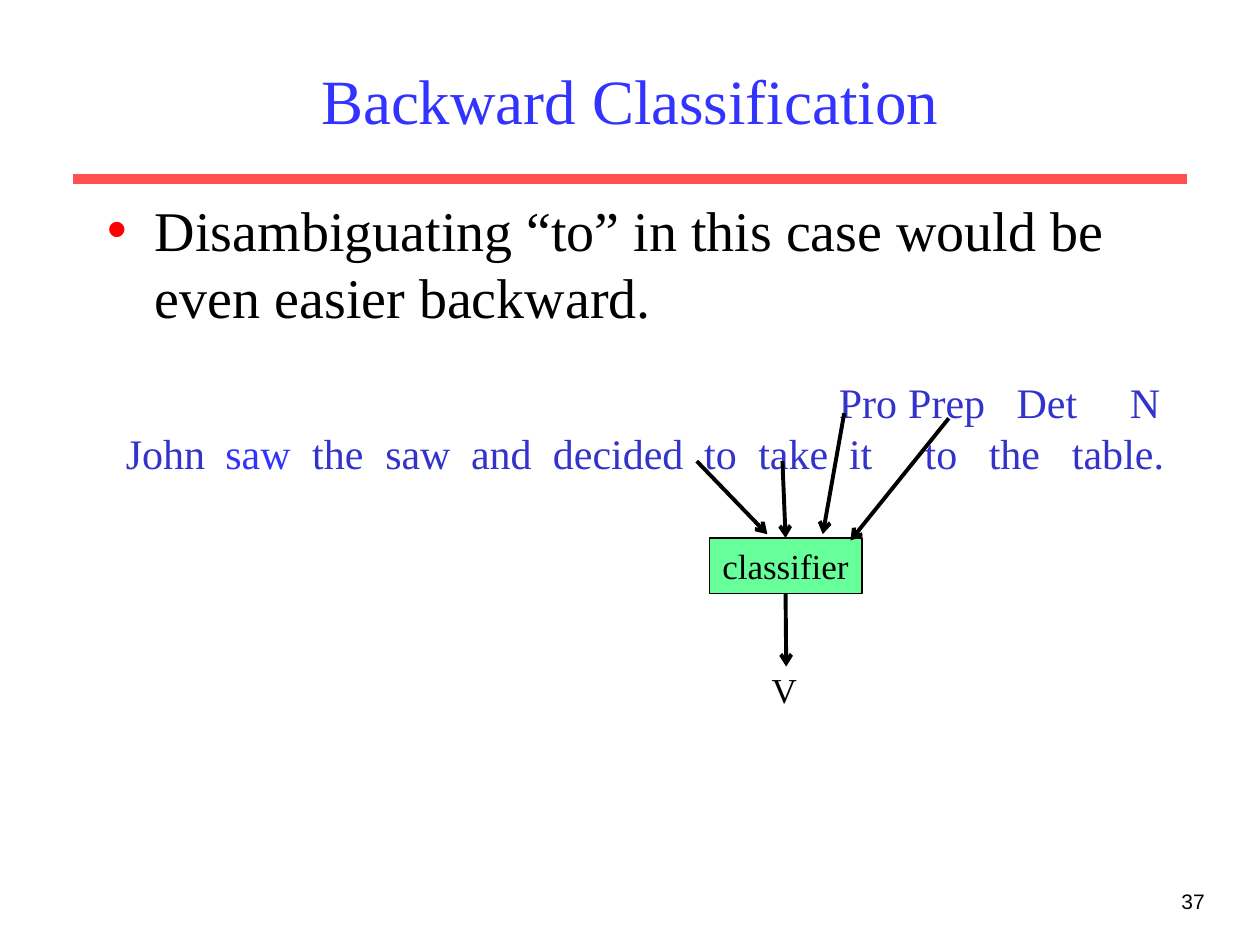
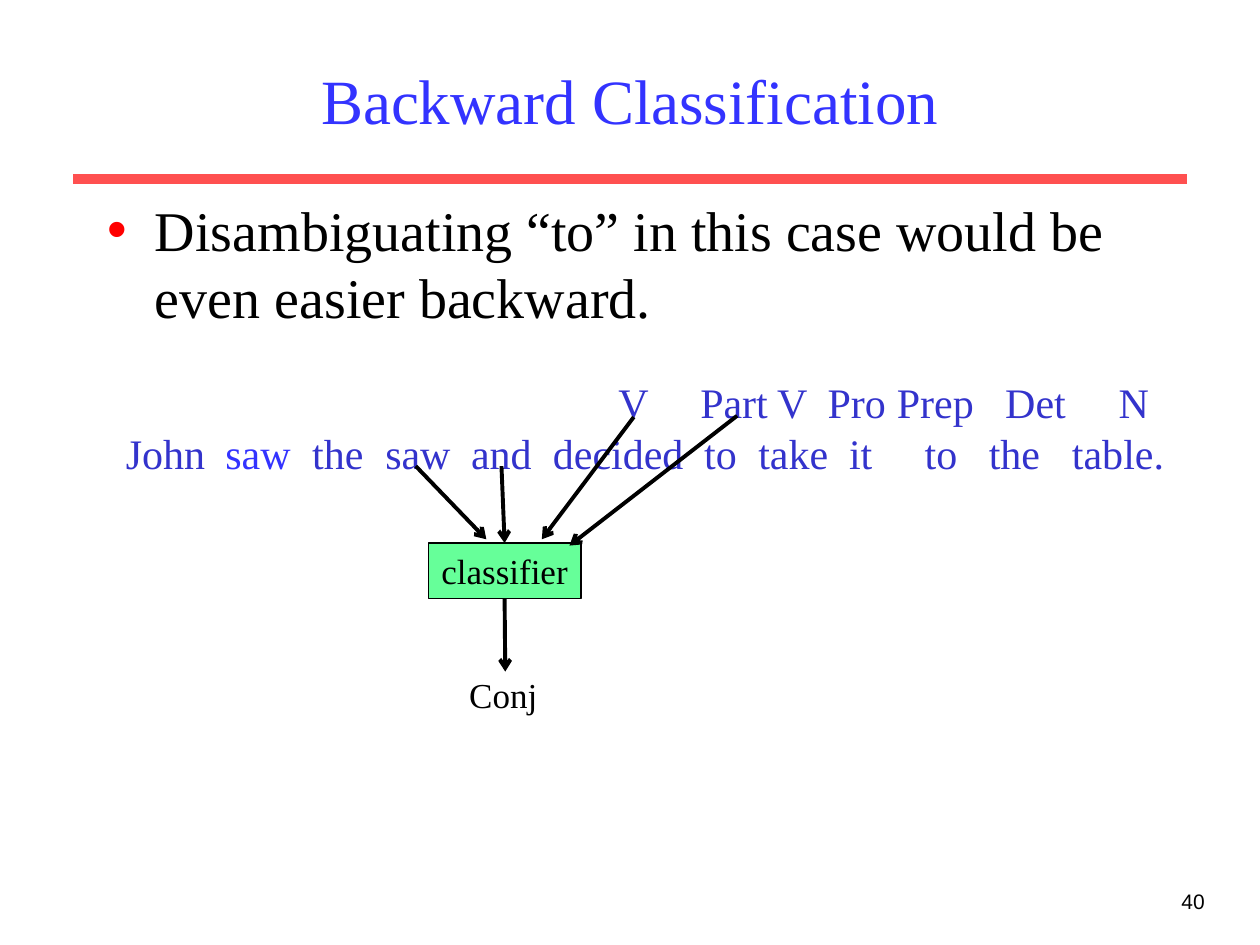
import lxml.etree
import pptx
import pptx.dml.color
import pptx.enum.shapes
import pptx.enum.text
import pptx.oxml.ns
import pptx.util

Inches = pptx.util.Inches
Pt = pptx.util.Pt
ALIGN = pptx.enum.text.PP_ALIGN
ANCHOR = pptx.enum.text.MSO_ANCHOR

TITLE = "Backward Classification"
POINT = "Disambiguating “to” in this case would be even easier backward."

# Words and tags with their distance in inches from the left of the text
SENTENCE = [
    ("John", 0), ("saw", 0.79), ("the", 1.48), ("saw", 2.06), ("and", 2.74),
    ("decided", 3.39), ("to", 4.59), ("take", 5.02), ("it", 5.74),
    ("to", 6.34), ("the", 6.85), ("table.", 7.51),
]
HIGHLIGHTED_WORD = 1

SLIDES = [
    {
        "number": "37",
        "tags": [("Pro", 5.66), ("Prep", 6.21), ("Det", 7.07), ("N", 7.97)],
        "classifier": (5.63, 4.27),
        "tag_points": [(6.7, 3.28), (7.53, 3.32)],
        "result": "V",
    },
    {
        "number": "40",
        "tags": [("V", 3.91), ("Part", 4.56), ("V", 5.17), ("Pro", 5.57),
                 ("Prep", 6.12), ("Det", 6.98), ("N", 7.88)],
        "classifier": (3.4, 4.31),
        "tag_points": [(5.03, 3.31), (5.85, 3.3)],
        "result": "Conj",
    },
]

# Places measured from the top left corner of the classifier box
CLASSIFIER_SIZE = (1.21, 0.44)
PREVIOUS_WORD_ARROW = ((-0.1, -0.61), (0.46, -0.03))
CURRENT_WORD_START = (0.58, -0.61)
TAG_ARROW_ENDS = [(0.9, -0.03), (1.12, 0.02)]
RESULT_ARROW_END = (0.61, 1.02)
RESULT_PLACE = (0.21, 0.99)

SERIF = "Times New Roman"
BLACK = "000000"
TITLE_STYLE = {"size": Pt(36), "name": SERIF, "color": "3333FF"}
POINT_STYLE = {"size": Pt(32), "name": SERIF, "color": BLACK}
SENTENCE_STYLE = {"size": Pt(24), "name": SERIF, "color": "3333CC"}
HIGHLIGHT_STYLE = {**SENTENCE_STYLE, "color": "3333FF"}
LABEL_STYLE = {"size": Pt(20), "name": SERIF, "color": BLACK}
NUMBER_STYLE = {"size": Pt(12), "name": "Arial", "color": BLACK}


def rgb(value):
    return pptx.dml.color.RGBColor.from_string(value)


def inches(values):
    return [Inches(value) for value in values]


def shift(origin, offset):
    return origin[0] + offset[0], origin[1] + offset[1]


def add_element(parent, tag, **attributes):
    element = lxml.etree.SubElement(parent, pptx.oxml.ns.qn(tag))
    for name, value in attributes.items():
        element.set(name, str(value))
    return element


def add_run(paragraph, text, style):
    run = paragraph.add_run()
    run.text = text
    for name, value in style.items():
        if name == "color":
            run.font.color.rgb = rgb(value)
        else:
            setattr(run.font, name, value)


def set_leading(paragraph, style):
    """Set lines of serif text at 1.2 times their size."""
    paragraph.space_before = Pt(0)
    paragraph.line_spacing = Pt(1.2 * style["size"].pt)


def fill_text(shape, text, style, alignment, anchor=ANCHOR.TOP):
    frame = shape.text_frame
    for name, value in {"word_wrap": True, "vertical_anchor": anchor,
                        "auto_size": pptx.enum.text.MSO_AUTO_SIZE.NONE}.items():
        setattr(frame, name, value)
    paragraph = frame.paragraphs[0]
    paragraph.alignment = alignment
    add_run(paragraph, text, style)
    if style["name"] == SERIF:
        set_leading(paragraph, style)
    return paragraph


def place(shape, left, top, width, height):
    box = {"left": left, "top": top, "width": width, "height": height}
    for name, value in box.items():
        setattr(shape, name, Inches(value))


def add_line(slide, start, end, color=BLACK, width=2.25, arrow=True):
    line = slide.shapes.add_connector(
        pptx.enum.shapes.MSO_CONNECTOR.STRAIGHT, *inches(start + end))
    line.line.color.rgb = rgb(color)
    line.line.width = Pt(width)
    if arrow:
        add_element(line.line._get_or_add_ln(), "a:tailEnd", type="arrow")
    add_element(line._element.spPr, "a:effectLst")
    return line


def add_textbox(slide, left, top, width, height):
    return slide.shapes.add_textbox(*inches((left, top, width, height)))


def add_frame(slide, number):
    """Add the title, rule, slide number and bullet that every slide has."""
    add_line(slide, (0.58, 1.42), (9.42, 1.42), "FF5050", 6, arrow=False)
    fill_text(add_textbox(slide, 7.58, 7, 2.08, 0.5),
              number, NUMBER_STYLE, ALIGN.RIGHT)

    title, body = slide.shapes.title, slide.placeholders[1]
    place(title, 0.75, 0.25, 8.5, 1.08)
    fill_text(title, TITLE, TITLE_STYLE, ALIGN.CENTER, ANCHOR.MIDDLE)
    place(body, 0.75, 1.5, 8.5, 5.13)
    paragraph = fill_text(body, POINT, POINT_STYLE, ALIGN.LEFT)
    properties = paragraph._p.get_or_add_pPr()
    properties.set("marL", str(Inches(0.38)))
    properties.set("indent", str(-Inches(0.38)))
    add_element(add_element(properties, "a:buClr"), "a:srgbClr", val="FF0000")
    add_element(properties, "a:buChar", char="•")


def fill_tabbed(paragraph, words, highlighted=None):
    """Write each word at its own tab stop."""
    tabs = add_element(paragraph._p.get_or_add_pPr(), "a:tabLst")
    for index, (word, position) in enumerate(words):
        if position:
            add_element(tabs, "a:tab", pos=Inches(position), algn="l")
        style = HIGHLIGHT_STYLE if index == highlighted else SENTENCE_STYLE
        add_run(paragraph, "\t" + word if position else word, style)
    set_leading(paragraph, SENTENCE_STYLE)


def add_sentence(slide, tags):
    frame = add_textbox(slide, 0.9, 2.94, 8.6, 0.9).text_frame
    frame.word_wrap = True
    fill_tabbed(frame.paragraphs[0], tags)
    fill_tabbed(frame.add_paragraph(), SENTENCE, HIGHLIGHTED_WORD)


def add_classifier(slide, origin, tag_points, result):
    box = slide.shapes.add_shape(pptx.enum.shapes.MSO_SHAPE.RECTANGLE,
                                 *inches(origin + CLASSIFIER_SIZE))
    box.shadow.inherit = False
    box.fill.solid()
    box.fill.fore_color.rgb = rgb("66FF99")
    box.line.color.rgb = rgb(BLACK)
    box.line.width = Pt(1)
    fill_text(box, "classifier", LABEL_STYLE, ALIGN.CENTER, ANCHOR.MIDDLE)

    add_line(slide, *[shift(origin, point) for point in PREVIOUS_WORD_ARROW])
    current_word = add_line(slide, shift(origin, CURRENT_WORD_START), origin)
    current_word.end_connect(box, 0)
    for start, end in zip(tag_points, TAG_ARROW_ENDS):
        add_line(slide, start, shift(origin, end))
    output = add_line(slide, origin, shift(origin, RESULT_ARROW_END))
    output.begin_connect(box, 2)
    fill_text(add_textbox(slide, *shift(origin, RESULT_PLACE), 0.77, 0.44),
              result, LABEL_STYLE, ALIGN.CENTER)


def main():
    presentation = pptx.Presentation()
    presentation.slide_width = Inches(10)
    presentation.slide_height = Inches(7.5)
    for content in SLIDES:
        slide = presentation.slides.add_slide(presentation.slide_layouts[1])
        add_frame(slide, content["number"])
        add_sentence(slide, content["tags"])
        add_classifier(slide, content["classifier"], content["tag_points"],
                       content["result"])
    presentation.save("out.pptx")


if __name__ == "__main__":
    main()
